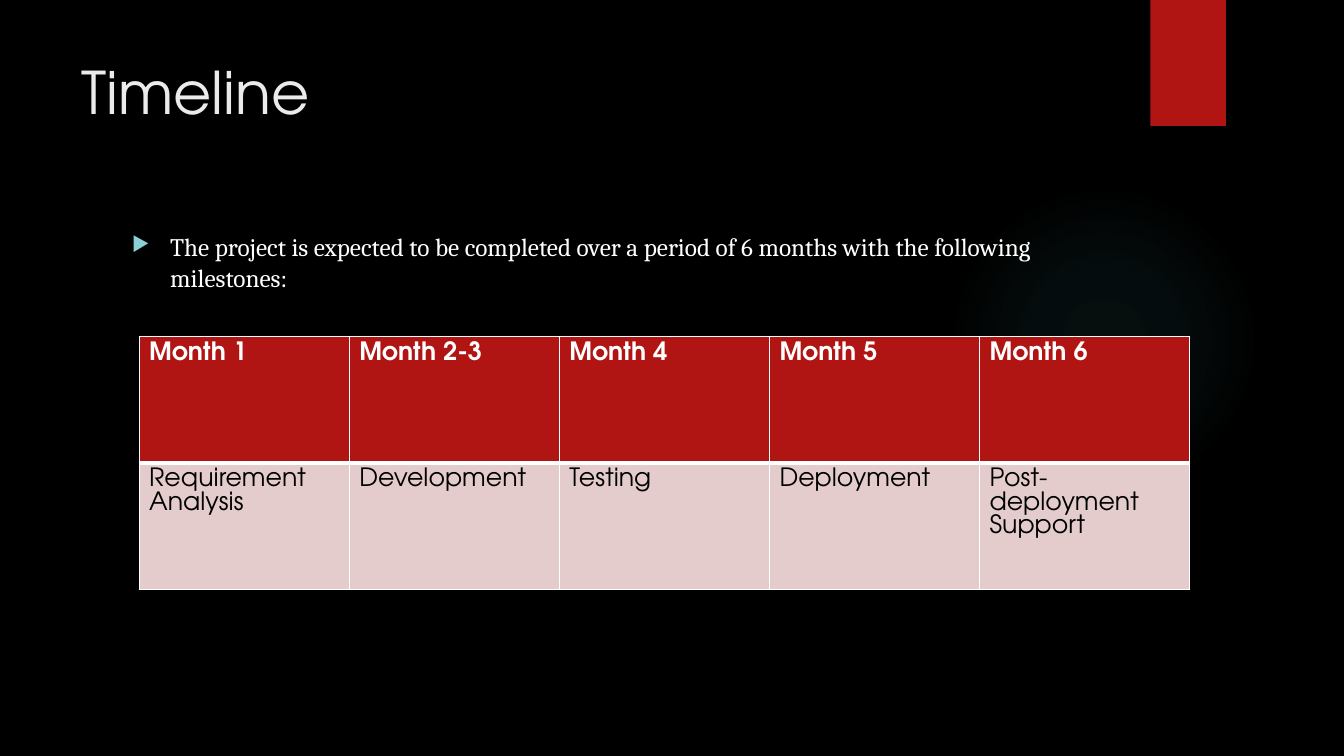
from pptx import Presentation
from pptx.dml.color import RGBColor
from pptx.enum.shapes import MSO_SHAPE as Shape
from pptx.enum.text import MSO_ANCHOR as Anchor, PP_ALIGN as Align
from pptx.oxml import parse_xml
from pptx.oxml.ns import nsdecls
from pptx.util import Inches, Pt

BLACK = RGBColor(0x00, 0x00, 0x00)
WHITE = RGBColor(0xFF, 0xFF, 0xFF)
PALE = RGBColor(0xEB, 0xEB, 0xEB)
RED = RGBColor(0xB0, 0x15, 0x13)
PINK = RGBColor(0xE4, 0xCC, 0xCC)
TEAL = RGBColor(0x50, 0xB9, 0xC1)
AQUA = RGBColor(0x8A, 0xD0, 0xD6)

MILESTONES = [
    ("Month 1", "Requirement Analysis"),
    ("Month 2-3", "Development"),
    ("Month 4", "Testing"),
    ("Month 5", "Deployment"),
    ("Month 6", "Post-deployment Support"),
]


class TimelineSlide:
    """Draws the timeline elements in one dark style on a title-only slide."""

    heading_font = "TeX Gyre Adventor"
    body_font = "Cambria"

    def __init__(self, deck):
        self.slide = deck.slides.add_slide(deck.slide_layouts[5])
        background = self.slide.background.fill
        background.solid()
        background.fore_color.rgb = BLACK

    def add_text(self, paragraph, text, size, color, font, bold=False):
        paragraph.alignment = Align.LEFT
        run = paragraph.add_run()
        run.text = text
        run.font.size = Pt(size)
        run.font.name = font
        run.font.bold = bold
        run.font.color.rgb = color

    def place(self, preset, left, top, width, height):
        shape = self.slide.shapes.add_shape(
            preset, Inches(left), Inches(top), Inches(width), Inches(height))
        shape.shadow.inherit = False
        shape.line.fill.background()
        return shape

    def glow(self, left, top, size, color, stops):
        halo = self.place(Shape.OVAL, left, top, size, size)
        halo.fill.background()
        stop_xml = "".join(
            f'<a:gs pos="{position * 1000}"><a:srgbClr val="{color}">'
            f'<a:alpha val="{alpha * 1000}"/></a:srgbClr></a:gs>'
            for position, alpha in stops)
        gradient = parse_xml(
            f'<a:gradFill {nsdecls("a")} rotWithShape="1"><a:gsLst>{stop_xml}</a:gsLst>'
            '<a:path path="circle"><a:fillToRect l="50000" t="50000" r="50000" b="50000"/>'
            '</a:path></a:gradFill>')
        properties = halo.element.spPr
        properties.replace(properties.find("{*}noFill"), gradient)

    def block(self, left, top, width, height, color):
        tab = self.place(Shape.RECTANGLE, left, top, width, height)
        tab.fill.solid()
        tab.fill.fore_color.rgb = color

    def title(self, text, left, top, width, height):
        heading = self.slide.shapes.title
        heading.left, heading.top = Inches(left), Inches(top)
        heading.width, heading.height = Inches(width), Inches(height)
        heading.text_frame.vertical_anchor = Anchor.TOP
        self.add_text(heading.text_frame.paragraphs[0], text, 42, PALE, self.heading_font)

    def bullet(self, text, left, top, width, height):
        intro = self.slide.shapes.add_textbox(
            Inches(left), Inches(top), Inches(width), Inches(height))
        intro.text_frame.word_wrap = True
        paragraph = intro.text_frame.paragraphs[0]
        paragraph.space_before = Pt(10)
        self.add_text(paragraph, text, 18, WHITE, self.body_font)
        properties = paragraph._p.get_or_add_pPr()
        indent = Inches(0.38)
        properties.set("marL", str(indent))
        properties.set("indent", str(-indent))
        for marker in (
            f'<a:buClr {nsdecls("a")}><a:srgbClr val="{AQUA}"/></a:buClr>',
            f'<a:buSzPct {nsdecls("a")} val="80000"/>',
            f'<a:buChar {nsdecls("a")} char="▶"/>',
        ):
            properties.append(parse_xml(marker))

    def cell_borders(self, cell, **widths):
        properties = cell._tc.get_or_add_tcPr()
        for index, side in enumerate("LRTB"):
            properties.insert(index, parse_xml(
                f'<a:ln{side} {nsdecls("a")} w="{Pt(widths.get(side, 1))}">'
                f'<a:solidFill><a:srgbClr val="{WHITE}"/></a:solidFill></a:ln{side}>'))

    def schedule(self, milestones, left, top, width, height):
        rows = list(zip(*milestones))
        table = self.slide.shapes.add_table(
            len(rows), len(milestones),
            Inches(left), Inches(top), Inches(width), Inches(height)).table
        styles = [(RED, WHITE, True, {"B": 3}), (PINK, BLACK, False, {"T": 3})]
        for row, (labels, style) in enumerate(zip(rows, styles)):
            fill, color, bold, borders = style
            for column, label in enumerate(labels):
                cell = table.cell(row, column)
                cell.fill.solid()
                cell.fill.fore_color.rgb = fill
                self.cell_borders(cell, **borders)
                self.add_text(cell.text_frame.paragraphs[0], label, 18, color,
                              self.heading_font, bold)


def main():
    deck = Presentation()
    deck.slide_width, deck.slide_height = Inches(13.33), Inches(7.5)
    timeline = TimelineSlide(deck)
    timeline.glow(9.41, 1.83, 3.08, TEAL, [(0, 7), (36, 6), (69, 0)])
    timeline.block(11.41, 0, 0.75, 1.25, RED)
    timeline.title("Timeline", 0.71, 0.5, 10.29, 1.53)
    timeline.bullet(
        "The project is expected to be completed over a period of 6 months "
        "with the following milestones:", 1.21, 2.25, 9.78, 4.59)
    timeline.schedule(MILESTONES, 1.38, 3.34, 10.42, 2.51)
    deck.save("out.pptx")


if __name__ == "__main__":
    main()
